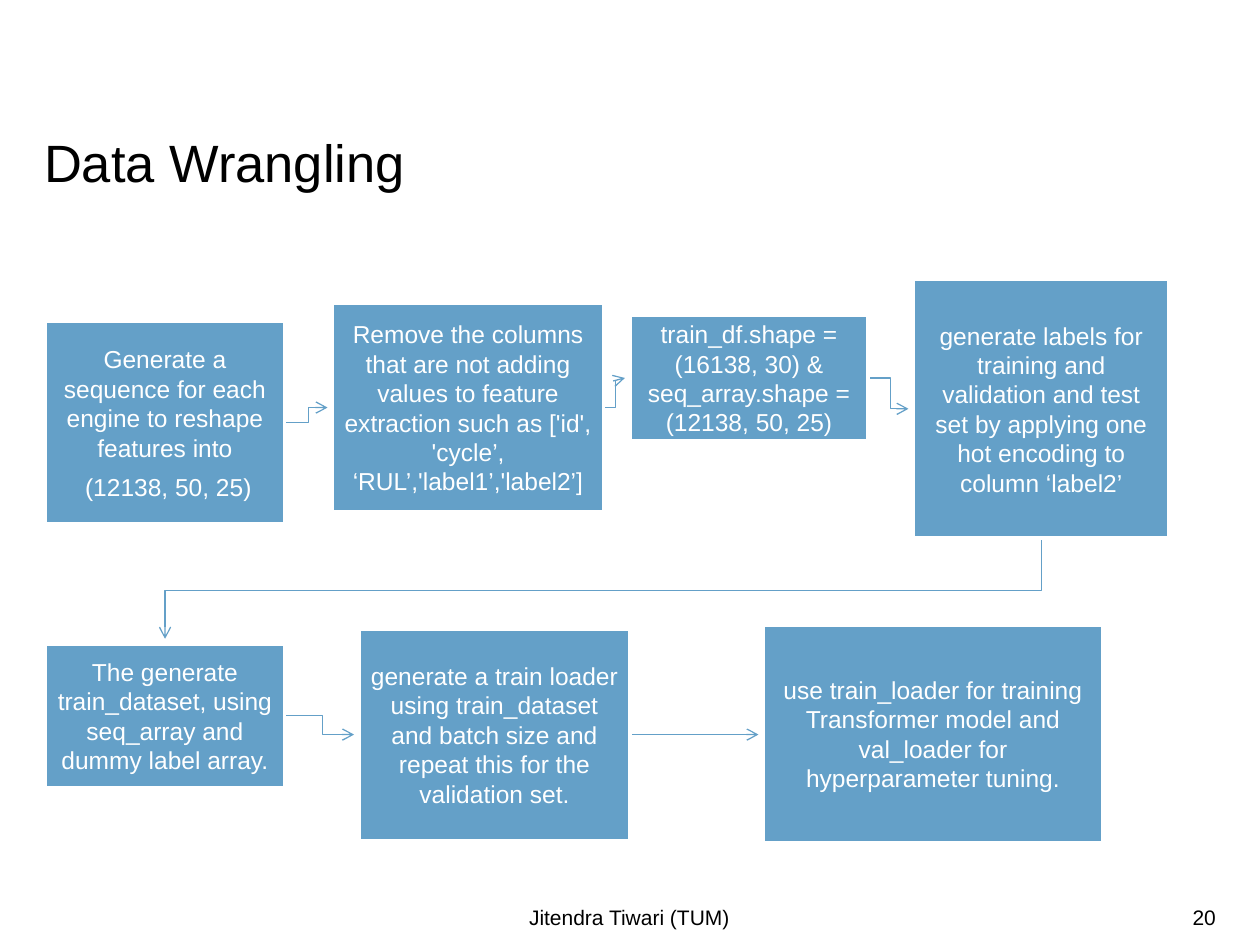
from lxml import etree
from pptx import Presentation
from pptx.dml.color import RGBColor
from pptx.enum.shapes import MSO_CONNECTOR, MSO_SHAPE
from pptx.enum.text import MSO_ANCHOR, PP_ALIGN
from pptx.oxml.ns import qn
from pptx.util import Inches, Pt

ELBOW, STRAIGHT = MSO_CONNECTOR.ELBOW, MSO_CONNECTOR.STRAIGHT
RECTANGLE = MSO_SHAPE.RECTANGLE
TOP, MIDDLE = MSO_ANCHOR.TOP, MSO_ANCHOR.MIDDLE
LEFT, CENTER, RIGHT = PP_ALIGN.LEFT, PP_ALIGN.CENTER, PP_ALIGN.RIGHT
BLUE, WHITE, BLACK = "64A0C8", "FFFFFF", "000000"

STEPS = [
    ((0.36, 2.55, 1.9, 1.61), ["Generate a sequence for each engine to reshape features into",
                               " (12138, 50, 25)"]),
    ((2.64, 2.41, 2.15, 1.65), ["Remove the columns that are not adding values to feature extraction "
                                "such as ['id', 'cycle’, ‘RUL’,'label1’,'label2’]"]),
    ((5, 2.5, 1.89, 1), ["train_df.shape = (16138, 30) & seq_array.shape = (12138, 50, 25)"]),
    ((7.25, 2.22, 2.03, 2.05), ["generate labels for training and validation and test set "
                                "by applying one hot encoding to column ‘label2’"]),
    ((0.36, 5.11, 1.9, 1.14), ["The generate train_dataset, using seq_array and dummy label array."]),
    ((2.85, 4.99, 2.15, 1.68), ["generate a train loader using train_dataset and batch size "
                                "and repeat this for the validation set."]),
    ((6.06, 4.96, 2.69, 1.73), ["use train_loader for training Transformer model "
                                "and val_loader for hyperparameter tuning."]),
]
ARROW_GAP = 0.04


def color(value):
    return RGBColor.from_string(value)


def write_text(shape, texts, size, value, alignment, anchor, insets, space_after=0, line_spacing=None):
    frame = shape.text_frame
    frame.word_wrap = True
    frame.vertical_anchor = anchor
    frame.margin_left = frame.margin_right = Inches(insets[0])
    frame.margin_top = frame.margin_bottom = Inches(insets[1])
    for index, text in enumerate(texts):
        paragraph = frame.add_paragraph() if index else frame.paragraphs[0]
        paragraph.alignment = alignment
        paragraph.space_after = Pt(space_after)
        paragraph.line_spacing = line_spacing
        run = paragraph.add_run()
        run.text = text
        run.font.name = "Arial"
        run.font.size = Pt(size)
        run.font.color.rgb = color(value)


def add_label(slide, box, text, size, alignment, anchor, insets, line_spacing=None):
    shape = slide.shapes.add_textbox(*map(Inches, box))
    write_text(shape, [text], size, BLACK, alignment, anchor, insets, line_spacing=line_spacing)


def add_step(slide, box, texts):
    shape = slide.shapes.add_shape(RECTANGLE, *map(Inches, box))
    shape.shadow.inherit = False
    shape.fill.solid()
    shape.fill.fore_color.rgb = color(BLUE)
    shape.line.color.rgb = color(WHITE)
    shape.line.width = Pt(2)
    write_text(shape, texts, 14, WHITE, CENTER, MIDDLE, (0.09, 0.1), space_after=5.5)


def add_arrow(slide, kind, start, end, bend=None):
    connector = slide.shapes.add_connector(kind, *map(Inches, start + end))
    connector.line.color.rgb = color(BLUE)
    connector.line.width = Pt(0.75)
    properties = connector._element.spPr
    line = properties.find(qn("a:ln"))
    etree.SubElement(line, qn("a:tailEnd"), type="arrow")
    etree.SubElement(properties, qn("a:effectLst"))
    if bend is not None:
        geometry = properties.find(qn("a:prstGeom"))
        guides = geometry.find(qn("a:avLst"))
        if guides is None:
            guides = etree.SubElement(geometry, qn("a:avLst"))
        etree.SubElement(guides, qn("a:gd"), name="adj1", fmla=f"val {round(bend * 100000)}")
    return connector


def link_sideways(slide, source, target):
    start = (source[0] + source[2], source[1] + source[3] / 2)
    end = (target[0] - ARROW_GAP, target[1] + target[3] / 2)
    if abs(start[1] - end[1]) < 0.02:
        add_arrow(slide, STRAIGHT, start, (end[0], start[1]))
    else:
        add_arrow(slide, ELBOW, start, end, 0.55)


def link_rows(slide, source, target):
    start_x, start_y = source[0] + source[2] / 2, source[1] + source[3]
    end_x, end_y = target[0] + target[2] / 2, target[1] - ARROW_GAP
    center_x, center_y = (start_x + end_x) / 2, (start_y + end_y) / 2
    half_width, half_height = (end_y - start_y) / 2, (start_x - end_x) / 2
    connector = add_arrow(slide, ELBOW, (center_x - half_width, center_y - half_height),
                          (center_x + half_width, center_y + half_height), 0.52)
    connector._element.spPr.find(qn("a:xfrm")).set("rot", "5400000")


def add_flow(slide, steps):
    boxes = [box for box, texts in steps]
    for source, target in zip(boxes, boxes[1:]):
        link = link_sideways if target[0] > source[0] else link_rows
        link(slide, source, target)
    for box, texts in steps:
        add_step(slide, box, texts)


def add_footer(slide, box):
    left, top, width, height = box
    number_width = 2.24
    add_label(slide, (left + width - number_width, top, number_width, height),
              "20", 12, RIGHT, MIDDLE, (0, 0.05))
    add_label(slide, box, "Jitendra Tiwari (TUM)", 12, CENTER, MIDDLE, (0, 0.05))


def main():
    presentation = Presentation()
    presentation.slide_width, presentation.slide_height = Inches(10), Inches(7.5)
    slide = presentation.slides.add_slide(presentation.slide_layouts[6])
    add_label(slide, (0.35, 1.09, 9.31, 0.45), "Data Wrangling", 30, LEFT, TOP, (0, 0), Pt(32))
    add_flow(slide, STEPS)
    add_footer(slide, (0.34, 7.08, 9.31, 0.4))
    presentation.save("out.pptx")


if __name__ == "__main__":
    main()
